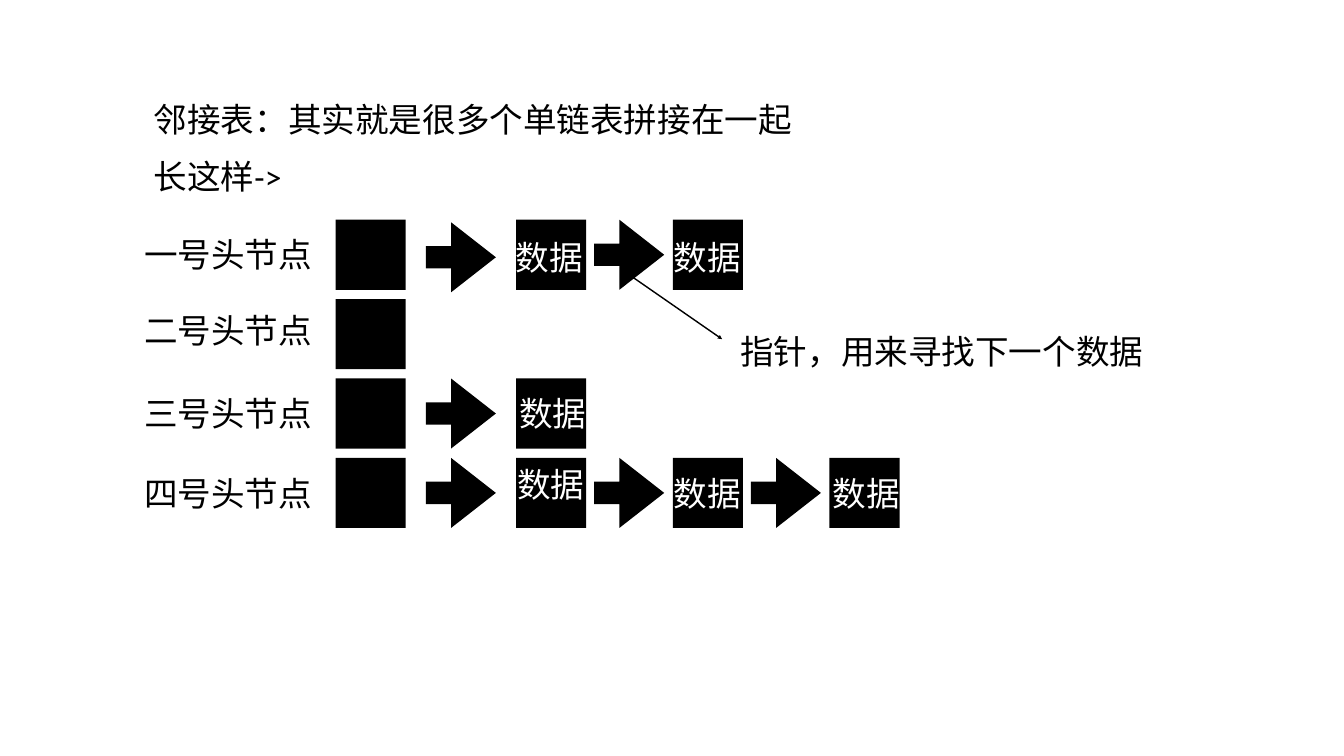
from lxml import etree
from pptx import Presentation
from pptx.dml.color import RGBColor
from pptx.enum.shapes import MSO_CONNECTOR, MSO_SHAPE
from pptx.enum.text import MSO_ANCHOR, MSO_AUTO_SIZE
from pptx.oxml.ns import qn
from pptx.util import Inches, Pt

BLACK = RGBColor(0, 0, 0)
WHITE = RGBColor(255, 255, 255)
RECT = MSO_SHAPE.RECTANGLE
ARROW = MSO_SHAPE.RIGHT_ARROW
LINE = MSO_CONNECTOR.STRAIGHT
MIDDLE = MSO_ANCHOR.MIDDLE
GROW = MSO_AUTO_SIZE.SHAPE_TO_FIT_TEXT

FONT = "Calibri"
SIDE = 1.39       # node and arrow size
ROW = 1.575       # row pitch
COL = 3.11        # data column pitch
LABEL_W, DATA_W, TEXT_H = 3.46, 1.46, 1.04
HEAD_X, DATA_X = 3.86, 7.44     # from the left edge of the list
FIRST_GAP, NEXT_GAP = 1.79, 1.56    # from an arrow to its data node

# Per row: label, label drop, first arrow drop, (x, y) shift of each data text
LISTS = [
    ("一号头节点", 0.17, 0.05, [(-0.07, 0.22), (-0.04, 0.22)]),
    ("二号头节点", 0.09, 0, []),
    ("三号头节点", 0.17, 0, [(0, 0.17)]),
    ("四号头节点", 0.17, 0, [(-0.04, 0), (-0.04, 0.17), (0, 0.17)]),
]


def add_text(slide, text, x, y, w, h, size=48, color=BLACK, gap=24):
    box = slide.shapes.add_textbox(Inches(x), Inches(y), Inches(w), Inches(h))
    frame = box.text_frame
    frame.text = text
    frame.word_wrap = False
    frame.auto_size = GROW
    frame.vertical_anchor = MIDDLE
    frame.margin_left = frame.margin_right = Inches(0.06)
    frame.margin_top = frame.margin_bottom = Inches(0.06)
    for i, para in enumerate(frame.paragraphs):
        para.space_before = Pt(gap if i else 0)
        para.font.name = FONT
        para.font.size = Pt(size)
        para.font.color.rgb = color


def add_block(slide, kind, x, y):
    block = slide.shapes.add_shape(
        kind, Inches(x), Inches(y), Inches(SIDE), Inches(SIDE))
    block.shadow.inherit = False
    block.fill.solid()
    block.fill.fore_color.rgb = BLACK
    block.line.fill.background()
    if kind == ARROW:
        block.adjustments[0] = 0.32
        block.adjustments[1] = 0.64


def add_list(slide, x, y, label, drop, dip, shifts):
    """Draw one head node and the chain of data nodes after it."""
    add_text(slide, label, x, y + drop, LABEL_W, TEXT_H)
    add_block(slide, RECT, x + HEAD_X, y)
    for i, (dx, dy) in enumerate(shifts):
        left = x + DATA_X + i * COL
        if i == 0:
            add_block(slide, ARROW, left - FIRST_GAP, y + dip)
        else:
            add_block(slide, ARROW, left - NEXT_GAP, y)
        add_block(slide, RECT, left, y)
        add_text(slide, "数据", left + dx, y + dy, DATA_W, TEXT_H, color=WHITE)


def add_note(slide, x, y):
    """Draw the pointer line from (x, y) and the words it leads to."""
    line = slide.shapes.add_connector(
        LINE, Inches(x), Inches(y), Inches(x + 1.99), Inches(y + 1.38))
    line.line.color.rgb = BLACK
    line.line.width = Pt(2)
    tail = etree.SubElement(line.line._get_or_add_ln(), qn("a:tailEnd"))
    tail.set("type", "triangle")
    etree.SubElement(line._element.spPr, qn("a:effectLst"))
    add_text(slide, "指针，用来寻找下一个数据", x + 2.29, y + 1.09, 8.13, TEXT_H)


def main():
    deck = Presentation()
    deck.slide_width, deck.slide_height = Inches(26.67), Inches(15)
    slide = deck.slides.add_slide(deck.slide_layouts[6])
    add_text(slide, "邻接表：其实就是很多个单链表拼接在一起\n长这样->",
             2.99, 1.76, 12.79, 2.32)
    for i, chain in enumerate(LISTS):
        add_list(slide, 2.8, 4.36 + i * ROW, *chain)
    add_note(slide, 12.34, 5.35)
    deck.save("out.pptx")


if __name__ == "__main__":
    main()
